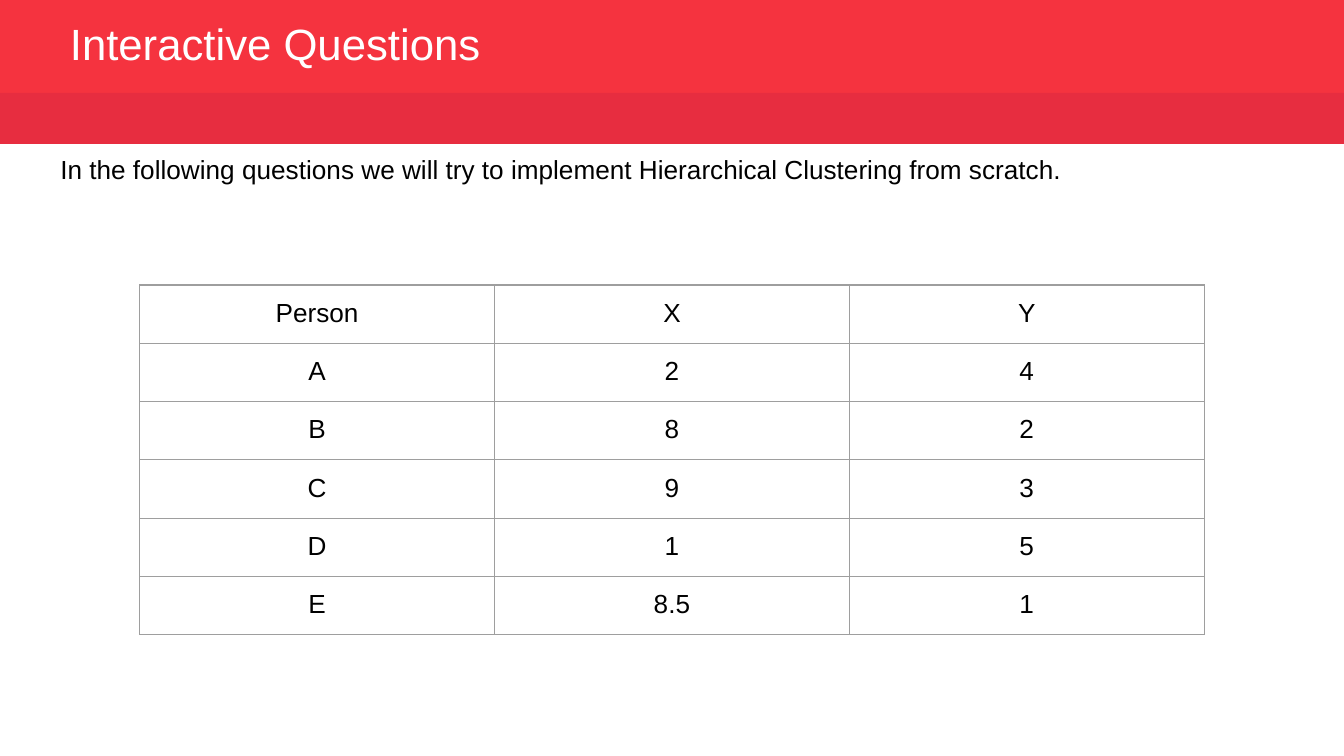
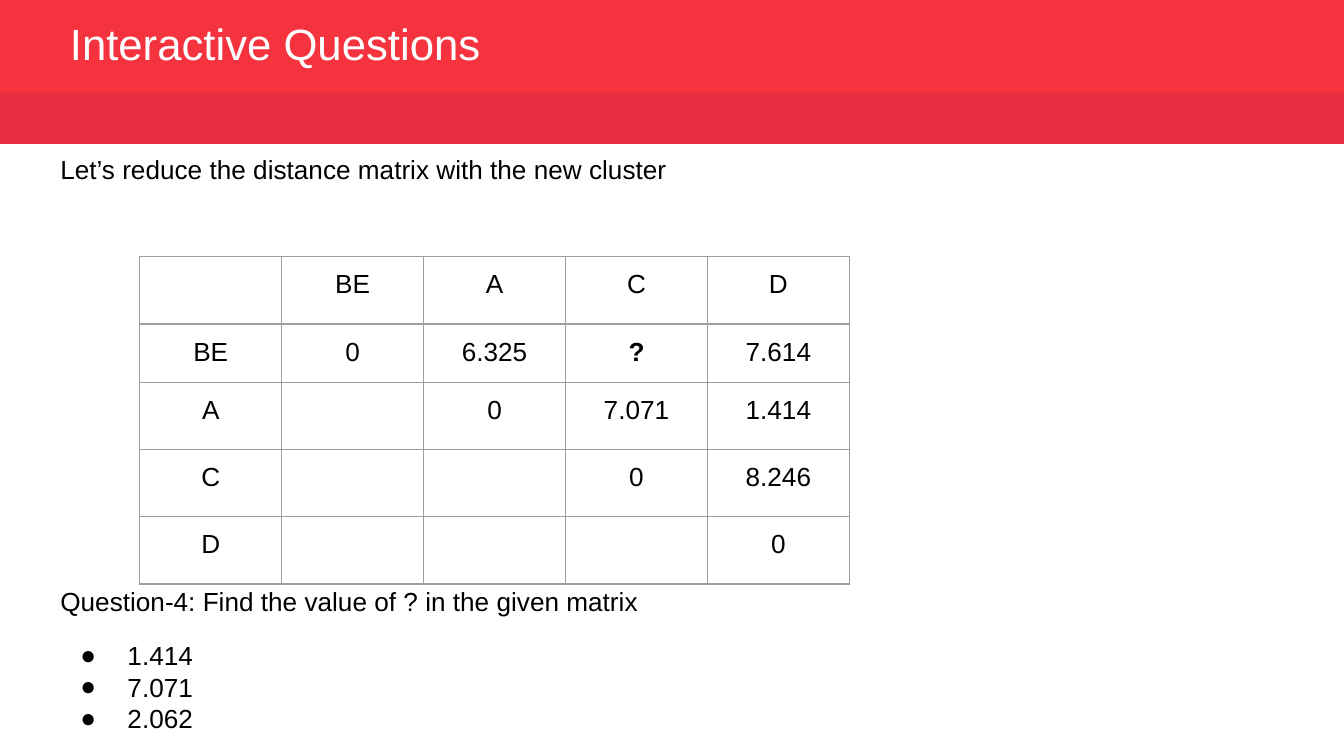
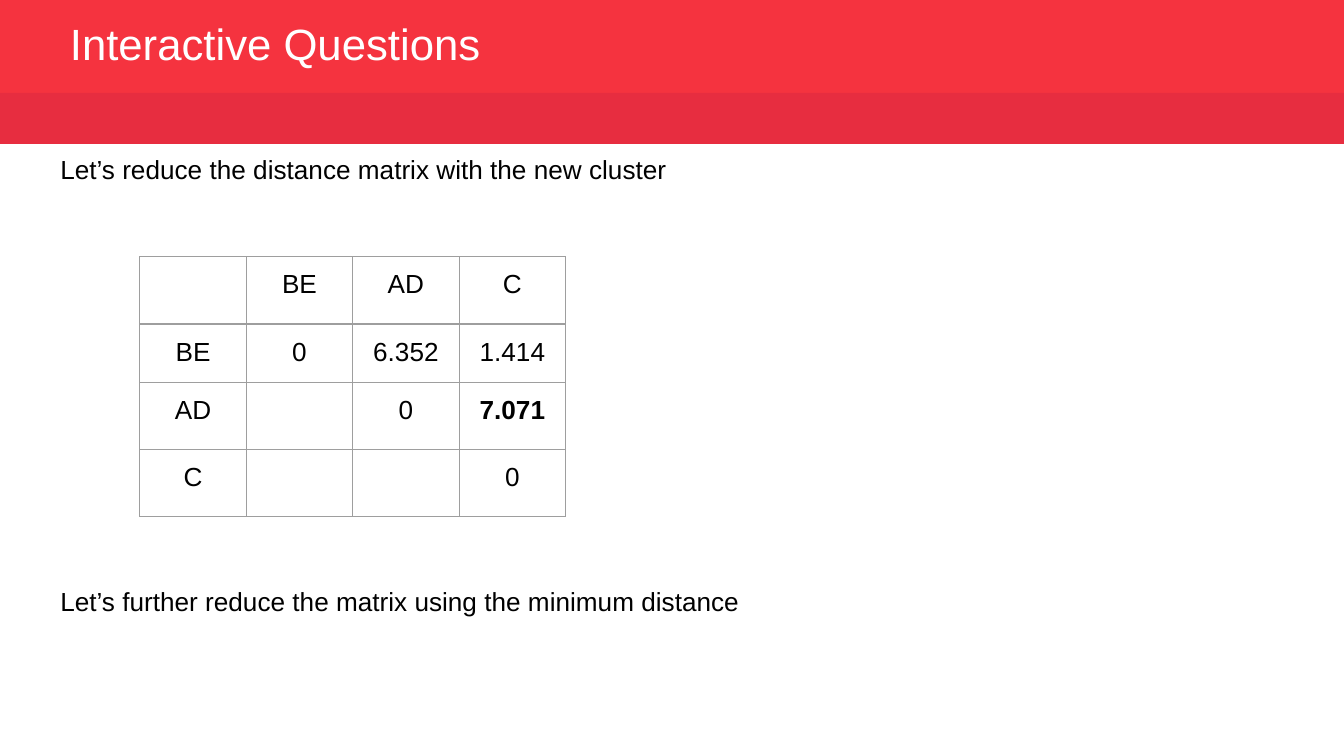
from lxml import etree
from pptx import Presentation
from pptx import util as u
from pptx.dml.color import RGBColor
from pptx.enum import shapes, text
from pptx.oxml.ns import qn

HUE = {"top": "F5333F", "band": "E72D40", "grid": "9E9E9E",
       "ink": "000000", "white": "FFFFFF"}
INTRO = "Let’s reduce the distance matrix with the new cluster"

# Each slide: intro, body height, table top and width, rows, bold cell, closing line, choices
PAGES = [
    ("In the following questions we will try to implement "
     "Hierarchical Clustering from scratch.", 4.42, 2.12, 7.92,
     [["Person", "X", "Y"],
      ["A", "2", "4"],
      ["B", "8", "2"],
      ["C", "9", "3"],
      ["D", "1", "5"],
      ["E", "8.5", "1"]],
     None, "", []),
    (INTRO, 4.53, 1.91, 5.28,
     [["", "BE", "A", "C", "D"],
      ["BE", "0", "6.325", "?", "7.614"],
      ["A", "", "0", "7.071", "1.414"],
      ["C", "", "", "0", "8.246"],
      ["D", "", "", "", "0"]],
     (1, 3), "Question-4: Find the value of ? in the given matrix",
     ["1.414", "7.071", "2.062"]),
    (INTRO, 4.53, 1.91, 3.17,
     [["", "BE", "AD", "C"],
      ["BE", "0", "6.352", "1.414"],
      ["AD", "", "0", "7.071"],
      ["C", "", "", "0"]],
     (2, 3), "Let’s further reduce the matrix using the minimum distance", []),
]


def write(frame, words, size=14, hue="ink", bold=False, align="LEFT",
          space=None, gap=0, dot=False, new=False):
    para = frame.add_paragraph() if new else frame.paragraphs[0]
    para.alignment = getattr(text.PP_ALIGN, align)
    if space:
        para.line_spacing = space
    if gap:
        para.space_before = u.Pt(gap)
    if dot:
        props = para._p.get_or_add_pPr()
        props.set("marL", str(u.Inches(0.5)))
        props.set("indent", str(u.Inches(-0.35)))
        tint = etree.SubElement(props, qn("a:buClr"))
        etree.SubElement(tint, qn("a:srgbClr"), val=HUE[hue])
        etree.SubElement(props, qn("a:buSzPts"), val=str(size * 100))
        etree.SubElement(props, qn("a:buFont"), typeface="Arial")
        etree.SubElement(props, qn("a:buChar"), char="●")
    if words:
        run = para.add_run()
        run.text = words
        font = run.font
        font.name, font.size, font.bold = "Arial", u.Pt(size), bold
        font.color.rgb = RGBColor.from_string(HUE[hue])
    # The paragraph mark sets the height of the line too
    mark = etree.SubElement(para._p, qn("a:endParaRPr"), sz=str(int(size * 100)))
    etree.SubElement(mark, qn("a:latin"), typeface="Arial")


def bar(slide, top, high, hue):
    rect = slide.shapes.add_shape(shapes.MSO_SHAPE.RECTANGLE, 0, u.Inches(top),
                                  u.Inches(10), u.Inches(high))
    rect.shadow.inherit = False
    rect.fill.solid()
    rect.fill.fore_color.rgb = RGBColor.from_string(HUE[hue])
    rect.line.fill.background()
    return rect


deck = Presentation()
deck.slide_width = u.Inches(10)
deck.slide_height = deck.slide_width * 9 // 16
base = deck.slide_layouts[5]

for num, (intro, tall, top, wide, rows, strong, close, picks) in enumerate(PAGES):
    slide = deck.slides.add_slide(base)

    # Header: the top bar belongs to the layout, behind every title
    if num == 0:
        base.shapes._spTree.insert(2, bar(slide, 0, 0.7, "top")._element)
    bar(slide, 0.69, 0.38, "band")
    title = slide.shapes.title
    title.left, title.top = u.Inches(0.42), u.Inches(0.14)
    title.width, title.height = u.Inches(4.69), u.Inches(0.44)
    title.text_frame.vertical_anchor = text.MSO_ANCHOR.MIDDLE
    title.text_frame.auto_size = text.MSO_AUTO_SIZE.NONE
    write(title.text_frame, "Interactive Questions", size=23.4, hue="white", space=0.8)

    # Body: the closing line stands clear of the table
    body = slide.shapes.add_textbox(u.Inches(0.35), u.Inches(1.09),
                                    u.Inches(9.15), u.Inches(tall)).text_frame
    body.word_wrap = True
    write(body, intro)
    if close:
        write(body, close, gap=215, new=True)
    for idx, pick in enumerate(picks):
        write(body, pick, gap=0 if idx else 12, dot=True, new=True)

    # Table
    cols = len(rows[0])
    grid = slide.shapes.add_table(len(rows), cols, u.Inches(1.04), u.Inches(top),
                                  u.Inches(wide), u.Inches(0.42 * len(rows))).table
    grid.first_row = grid.horz_banding = False
    for r, row in enumerate(rows):
        for c, words in enumerate(row):
            cell = grid.cell(r, c)
            cell.margin_left = cell.margin_right = u.Inches(0.1)
            cell.margin_top = cell.margin_bottom = u.Inches(0.1)
            write(cell.text_frame, words, size=14 if words else 18,
                  align="CENTER", bold=(r, c) == strong)
            props = cell._tc.get_or_add_tcPr()
            for side in ("lnL", "lnR", "lnT", "lnB"):
                edge = etree.SubElement(props, qn("a:" + side), w=str(u.Pt(0.75)))
                fill = etree.SubElement(edge, qn("a:solidFill"))
                etree.SubElement(fill, qn("a:srgbClr"), val=HUE["grid"])
            cell.fill.background()

deck.save("out.pptx")
